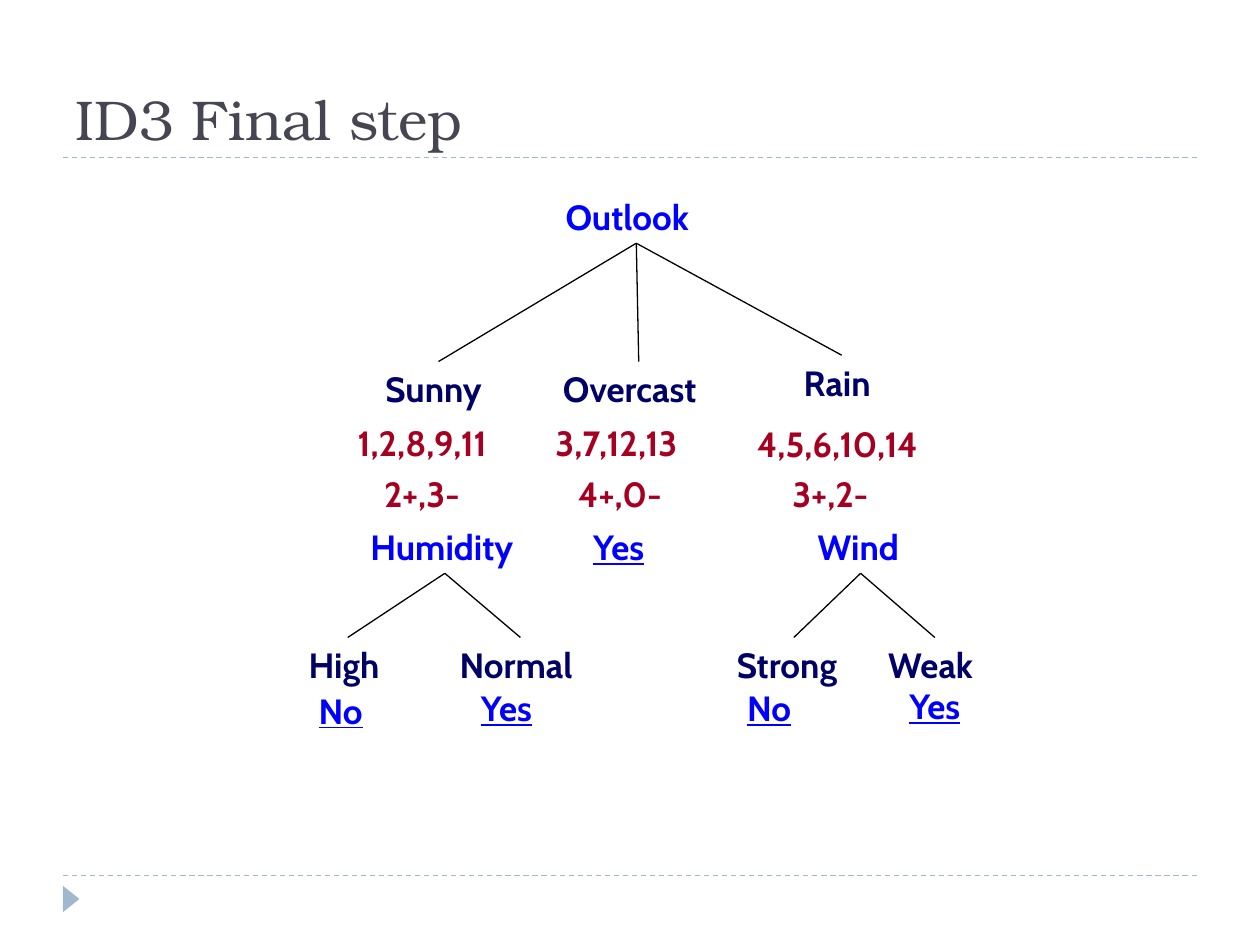
from lxml import etree
from pptx import Presentation
from pptx import util as u
from pptx.dml.color import RGBColor
from pptx.enum import dml, shapes, text
from pptx.oxml import ns

Pt = u.Pt
COLORS = {
    "title": "464653",
    "rule": "9FB8CD",
    "attribute": "0000FF",
    "value": "000066",
    "examples": "A50021",
    "branch": "000000",
}

presentation = Presentation()
presentation.slide_width, presentation.slide_height = Pt(720), Pt(540)
slide = presentation.slides.add_slide(presentation.slide_layouts[6])


def add_line(start, end, color, dashed=False):
    line = slide.shapes.add_connector(
        shapes.MSO_CONNECTOR.STRAIGHT, *(Pt(value) for value in start + end))
    line.line.width = Pt(0.75)
    line.line.color.rgb = RGBColor.from_string(COLORS[color])
    if dashed:
        line.line.dash_style = dml.MSO_LINE.DASH
    etree.SubElement(line._element.spPr, ns.qn("a:effectLst"))


def add_label(words, left, top, width, height, size, font_name, color,
              bold=False, underline=False):
    box = slide.shapes.add_textbox(Pt(left), Pt(top), Pt(width), Pt(height))
    box.text_frame.word_wrap = True
    box.text_frame.text = words
    font = box.text_frame.paragraphs[0].runs[0].font
    font.size, font.name = Pt(size), font_name
    font.bold, font.underline = bold, underline
    font.color.rgb = RGBColor.from_string(COLORS[color])
    return box


# Dashed rules and corner marker
for y in (500.4, 90):
    add_line((36, y), (684, y), "rule", dashed=True)
marker = slide.shapes.add_shape(
    shapes.MSO_SHAPE.ISOSCELES_TRIANGLE, Pt(33.1), Pt(509), Pt(15.1), Pt(9.4))
marker.rotation = 90
marker.shadow.inherit = False
marker.fill.solid()
marker.fill.fore_color.rgb = RGBColor.from_string(COLORS["rule"])
marker.line.fill.background()

# Title
title = add_label("ID3 Final step", 36, 12.2, 648, 77.8, 32,
                  "TeX Gyre Bonum", "title")
title.text_frame.vertical_anchor = text.MSO_ANCHOR.BOTTOM

# Branches: each parent point with the points below it
branches = [
    ((363.6, 139), [(250.6, 206.6), (365, 206.6), (481, 203)]),
    ((254.2, 327.6), [(198.7, 364.3), (297.4, 364.3)]),
    ((491.8, 327.6), [(453.6, 364.3), (534.2, 364.3)]),
]
for parent, children in branches:
    for child in children:
        add_line(parent, child, "branch")

# Tree labels by kind: words, left, top, width
labels = {
    "attribute": [
        ("Outlook", 316.1, 108, 95.8),
        ("Humidity", 204.5, 296.6, 100.1),
        ("Wind", 460.1, 296.6, 63.4),
    ],
    "value": [
        ("Sunny", 213.1, 206.6, 75.6),
        ("Overcast", 314.6, 206.6, 100.1),
        ("Rain", 452.2, 203, 57.6),
        ("High", 169.2, 364.3, 59),
        ("Normal", 255.6, 364.3, 83.5),
        ("Strong", 414, 364.3, 79.2),
        ("Weak", 500.4, 364.3, 67),
    ],
    "examples": [
        ("1,2,8,9,11", 197.3, 237.6, 103),
        ("3,7,12,13", 310.3, 237.6, 97.9),
        ("4,5,6,10,14", 425.5, 237.9, 114.5),
        ("2+,3-", 212.4, 266.4, 70),
        ("4+,0-", 323.3, 266.4, 70),
        ("3+,2-", 445.7, 266.4, 70),
    ],
}
for kind, entries in labels.items():
    for words, left, top, width in entries:
        add_label(words, left, top, width, 31, 20, "Cabin", kind, bold=True)

# Decisions at the leaves
decisions = [
    ("Yes", 331.9, 296.6),
    ("No", 175, 390.2),
    ("Yes", 267.8, 388.8),
    ("No", 419.8, 388.8),
    ("Yes", 512.6, 387.4),
]
for words, left, top in decisions:
    add_label(words, left, top, 50.4, 31, 20, "Cabin", "attribute",
              bold=True, underline=True)

presentation.save("out.pptx")
